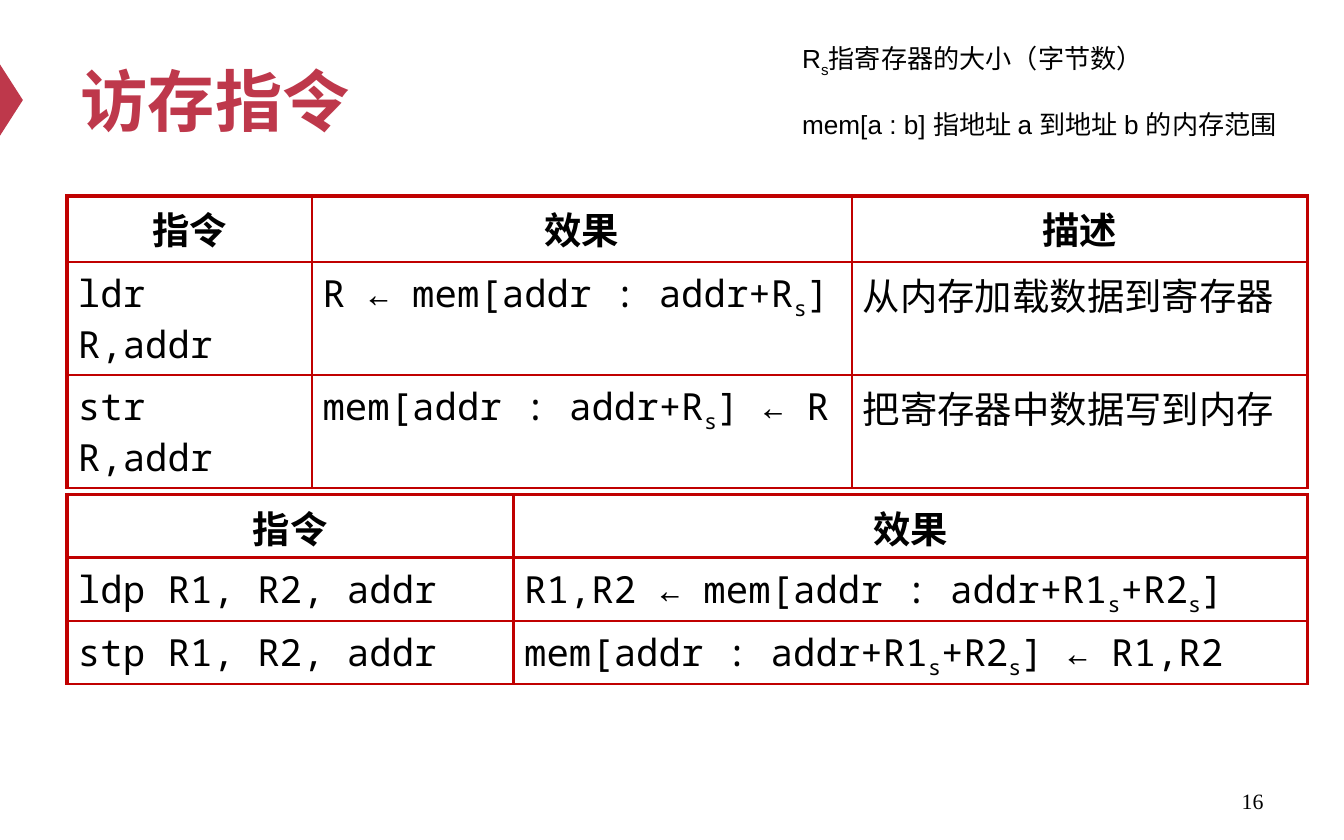
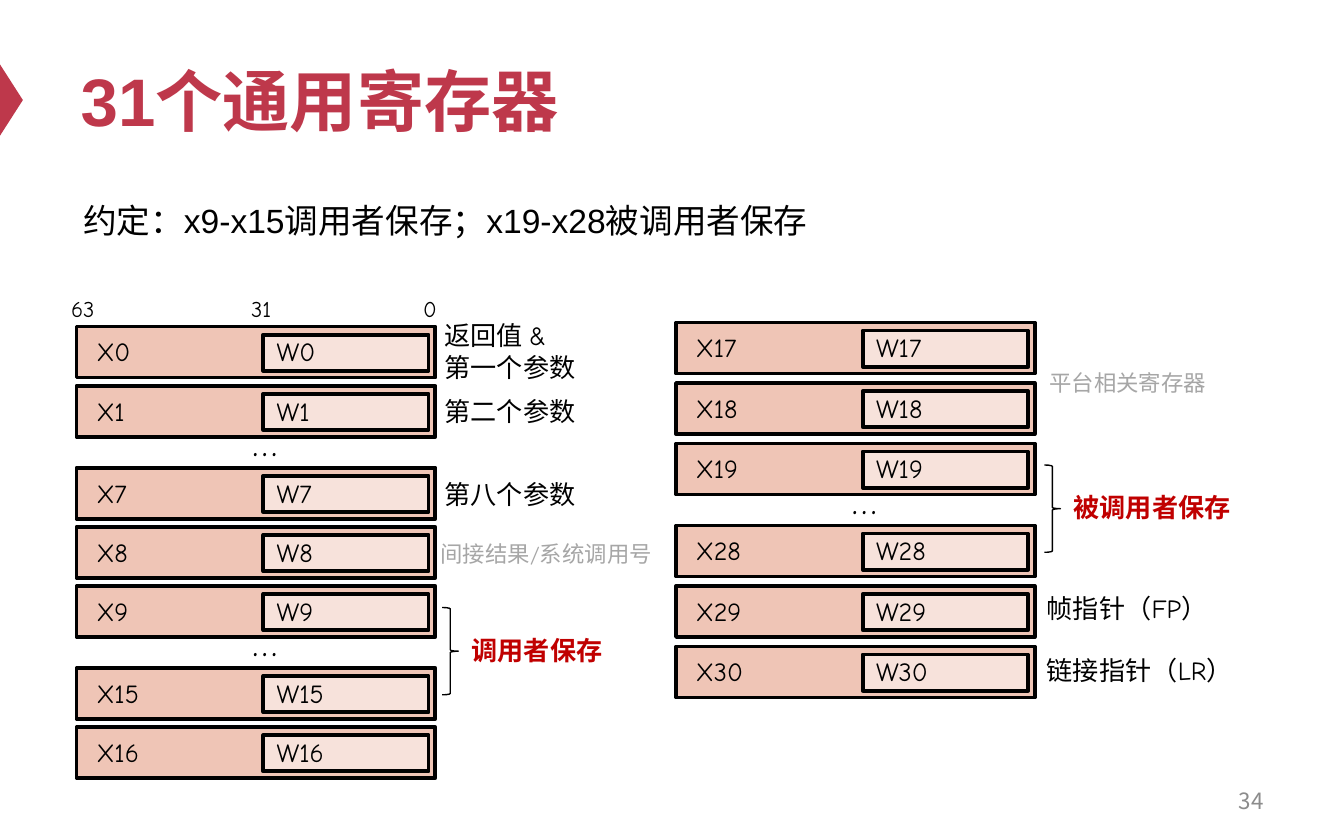
from lxml import etree
from pptx import Presentation
from pptx import util as u
from pptx.dml.color import RGBColor
from pptx.enum import shapes, text
from pptx.oxml.ns import qn

COLORS = {
    "accent": "BE384B", "border": "C00000", "black": "000000",
    "page": "8C8C8C", "muted": "A6A6A6", "full": "EFC5B6", "half": "F7E2DB",
}
ARIAL, CJK, MONO = "Arial", "Noto Sans CJK SC", "Noto Sans Mono"
COMIC, TIMES = "Comic Neue", "Times New Roman"
LEFT, CENTER, RIGHT = text.PP_ALIGN.LEFT, text.PP_ALIGN.CENTER, text.PP_ALIGN.RIGHT

# Content: "_s" marks a subscript s
NOTES = ["R_s指寄存器的大小（字节数）", "mem[a : b] 指地址 a 到地址 b 的内存范围"]
TABLES = [
    {"top": 1.46, "widths": (1.82, 4.02, 3.39), "heights": (0.49, 0.84, 0.84),
     "fonts": (MONO, MONO, CJK), "right": 2.25,
     "rows": [("指令", "效果", "描述"),
              ("ldr R,addr", "R ← mem[addr : addr+R_s]", "从内存加载数据到寄存器"),
              ("str R,addr", "mem[addr : addr+R_s] ← R", "把寄存器中数据写到内存")]},
    {"top": 3.68, "widths": (3.32, 5.91), "heights": (0.47, 0.47, 0.47),
     "fonts": (MONO, MONO), "right": 1.5,
     "rows": [("指令", "效果"),
              ("ldp R1, R2, addr", "R1,R2 ← mem[addr : addr+R1_s+R2_s]"),
              ("stp R1, R2, addr", "mem[addr : addr+R1_s+R2_s] ← R1,R2")]},
]
CONVENTION = "约定：x9-x15调用者保存；x19-x28被调用者保存"
# Register columns: left, top, step, register numbers (None is an ellipsis)
REGISTERS = [
    (0.57, 2.43, 0.44, [0, 1, None, 7, 8, 9, None, 15, 16]),
    (5.03, 2.4, 0.45, [17, 18, 19, None, 28, 29, 30]),
]
SKIP = 0.61  # step across an ellipsis
BITS = [("63", 0.43, 0.38), ("31", 1.77, 0.38), ("0", 3.05, 0.29)]
ROLES = [
    ("返回值 &\v第一个参数", 3.21, 2.33, 1.18, 0.57),
    ("第二个参数", 3.21, 2.89, 1.88, 0.34),
    ("第八个参数", 3.21, 3.51, 1.8, 0.34),
    ("帧指针（FP）", 7.69, 4.36, 1.97, 0.34),
    ("链接指针（LR）", 7.69, 4.82, 1.97, 0.34),
]
MUTED_ROLES = [("间接结果/系统调用号", 3.18, 3.97, 1.88), ("平台相关寄存器", 7.71, 2.7, 1.97)]
SAVERS = [("调用者保存", 3.29, 4.52), ("被调用者保存", 7.77, 3.46)]  # brace left, top


def color(name):
    return RGBColor.from_string(COLORS[name])


def box(*lengths):
    return [u.Inches(length) for length in lengths]


def write_runs(paragraph, content, size, font, tint="black", bold=False, align=LEFT):
    paragraph.alignment = align

    def add_run(piece, baseline=None):
        run = paragraph.add_run()
        run.text = piece
        run.font.size, run.font.name, run.font.bold = u.Pt(size), font, bold
        run.font.color.rgb = color(tint)
        properties = run._r.get_or_add_rPr()
        east_asian = etree.Element(qn("a:ea"), typeface=CJK)
        properties.find(qn("a:latin")).addnext(east_asian)
        if baseline:
            properties.set("baseline", baseline)

    for index, piece in enumerate(content.split("_s")):
        if index:
            add_run("s", "-25000")
        for line_index, line in enumerate(piece.split("\v")):
            if line_index:
                paragraph.add_line_break()
            if line:
                add_run(line)


def add_label(slide, place, content, size, font=COMIC, wrap=True, **style):
    frame = slide.shapes.add_textbox(*box(*place)).text_frame
    frame.word_wrap = wrap
    frame.auto_size = text.MSO_AUTO_SIZE.SHAPE_TO_FIT_TEXT
    write_runs(frame.paragraphs[0], content, size, font, **style)
    return frame


def add_shape(slide, kind, place, fill=None, line=None):
    shape = slide.shapes.add_shape(kind, *box(*place))
    shape.shadow.inherit = False
    if fill:
        shape.fill.solid()
        shape.fill.fore_color.rgb = color(fill)
    else:
        shape.fill.background()
    if line:
        shape.line.color.rgb = color("black")
        shape.line.width = u.Pt(line)
    else:
        shape.line.fill.background()
    return shape


def add_slide(presentation, title_text, title_font, number, size, font, tint):
    """Slide with the shared marker, title and page number."""
    slide = presentation.slides.add_slide(presentation.slide_layouts[5])
    marker = add_shape(slide, shapes.MSO_SHAPE.ISOSCELES_TRIANGLE,
                       (-0.18, 0.66, 0.53, 0.17), "accent")
    marker.rotation = 90
    title = slide.shapes.title
    title.left, title.top, title.width, title.height = box(0.5, 0.25, 9, 0.98)
    frame = title.text_frame
    frame.auto_size = text.MSO_AUTO_SIZE.NONE
    frame.vertical_anchor = text.MSO_ANCHOR.MIDDLE
    write_runs(frame.paragraphs[0], title_text, 36, title_font, "accent", True)
    page = add_label(slide, (7.17, 5.79, 2.33, 0.33), str(number), size, font,
                     tint=tint, align=RIGHT)
    page.auto_size = text.MSO_AUTO_SIZE.NONE
    page.vertical_anchor = text.MSO_ANCHOR.MIDDLE
    return slide


def set_borders(cell, **widths):
    properties = cell._tc.get_or_add_tcPr()
    for index, (side, width) in enumerate(widths.items()):
        line = etree.Element(qn(f"a:ln{side}"), w=str(u.Pt(width)))
        fill = etree.SubElement(line, qn("a:solidFill"))
        etree.SubElement(fill, qn("a:srgbClr"), val=COLORS["border"])
        properties.insert(index, line)


def add_instruction_table(slide, spec):
    rows, widths, heights = spec["rows"], spec["widths"], spec["heights"]
    place = box(0.5, spec["top"], sum(widths), sum(heights))
    table = slide.shapes.add_table(len(rows), len(widths), *place).table
    for column, width in zip(table.columns, widths):
        column.width = u.Inches(width)
    for row_index, row in enumerate(rows):
        table.rows[row_index].height = u.Inches(heights[row_index])
        header = row_index == 0
        for column_index, content in enumerate(row):
            cell = table.cell(row_index, column_index)
            cell.fill.background()
            cell.margin_left = cell.margin_right = u.Inches(0.08)
            cell.margin_top = cell.margin_bottom = u.Inches(0.04)
            paragraph = cell.text_frame.paragraphs[0]
            paragraph.space_before = u.Pt(4)
            write_runs(paragraph, content, 20,
                       ARIAL if header else spec["fonts"][column_index],
                       bold=header, align=CENTER if header else LEFT)
            last = column_index == len(row) - 1
            set_borders(cell, L=1.5 if column_index else 2.25,
                        R=spec["right"] if last else 1.5,
                        T=2.25 if header else 1.5, B=1.5)


def add_register(slide, left, top, number):
    rectangle = shapes.MSO_SHAPE.RECTANGLE
    add_shape(slide, rectangle, (left, top, 2.67, 0.38), "full", 2)
    add_shape(slide, rectangle, (left + 1.39, top + 0.06, 1.23, 0.27), "half", 2)
    width = 0.56 if number < 10 else 0.77
    add_label(slide, (left + 1.39, top + 0.02, width, 0.34), f"W{number}", 14)
    add_label(slide, (left + 0.05, top + 0.02, 1.1, 0.34), f"X{number}", 14)


def build_memory_slide(presentation):
    slide = add_slide(presentation, "访存指令", CJK, 16, 11.7, TIMES, "black")
    frame = add_label(slide, (5.87, 0.27, 3.77, 1.04), NOTES[0], 14, ARIAL)
    paragraph = frame.add_paragraph()
    paragraph.space_before = u.Pt(16)
    write_runs(paragraph, NOTES[1], 14, ARIAL)
    for spec in TABLES:
        add_instruction_table(slide, spec)


def build_register_slide(presentation):
    slide = add_slide(presentation, "31个通用寄存器", ARIAL, 34, 12, CJK, "page")
    add_label(slide, (0.52, 1.44, 5.64, 0.4), CONVENTION, 18, ARIAL)
    # Register columns
    for left, top, step, numbers in REGISTERS:
        for number in numbers:
            if number is None:
                add_label(slide, (left + 1.21, top - step + 0.2, 0.38, 0.4), "…", 20, wrap=False)
                top += SKIP - step
            else:
                add_register(slide, left, top, number)
                top += step
    # Bit positions and register roles
    for bit, left, width in BITS:
        add_label(slide, (left, 2.15, width, 0.3), bit, 12, wrap=False)
    for role, *place in ROLES:
        add_label(slide, place, role, 14, wrap="\v" not in role)
    for role, *place in MUTED_ROLES:
        add_label(slide, (*place, 0.3), role, 12, tint="muted")
    # Braces naming who saves the registers
    for saver, left, top in SAVERS:
        add_shape(slide, shapes.MSO_SHAPE.RIGHT_BRACE, (left, top, 0.12, 0.65), line=0.75)
        add_label(slide, (left + 0.12, top + 0.15, 1.42, 0.34), saver, 14,
                  tint="border", bold=True)


def main():
    presentation = Presentation()
    presentation.slide_width, presentation.slide_height = box(10, 6.25)
    build_memory_slide(presentation)
    build_register_slide(presentation)
    presentation.save("out.pptx")


if __name__ == "__main__":
    main()
